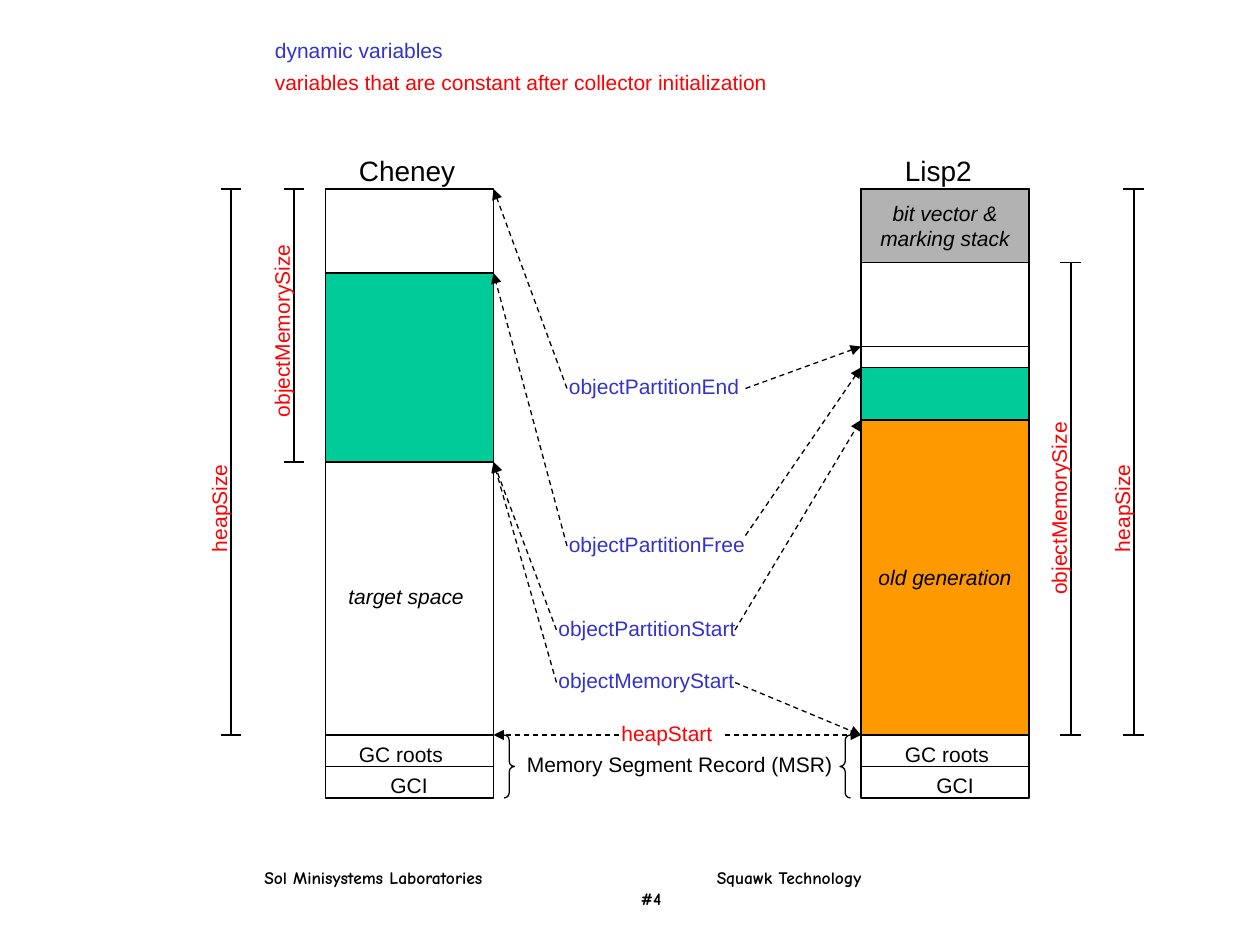
"""Build a slide comparing the heap layouts of two garbage collectors."""
from pptx import Presentation
from pptx import util as u
from pptx.dml.color import RGBColor
from pptx.enum import dml, shapes, text
from pptx.oxml import ns, xmlchemy as xml

BLACK = RGBColor(0, 0, 0)
BLUE = RGBColor(0x33, 0x33, 0xCC)
RED = RGBColor(0xFF, 0, 0)
GREEN = RGBColor(0, 0xCC, 0x99)
ORANGE = RGBColor(0xFF, 0x99, 0)
GRAY = RGBColor(0xB2, 0xB2, 0xB2)

PLAIN = {"name": "Arial", "size": u.Pt(12)}
LARGE = {**PLAIN, "size": u.Pt(16)}
SLANT = {**PLAIN, "italic": True}
FOOT = {"name": "Comic Neue", "size": u.Pt(10), "bold": True}

LEFT, RIGHT, WIDE = 186, 492, 96
TOP, BASE, ROOTS, END = 108, 420, 438, 456
SPLIT = 264

COLUMNS = [
    (LEFT, [SPLIT, BASE, ROOTS], [(156, SPLIT, GREEN, "")], "Cheney", 198, 70),
    (RIGHT, [150, 198, BASE, ROOTS],
     [(240, BASE, ORANGE, "old generation"), (210, 240, GREEN, ""),
      (TOP, 150, GRAY, "bit vector &\nmarking stack")], "Lisp2", 510, 53),
]
BRACES = [(288, shapes.MSO_SHAPE.RIGHT_BRACE), (480, shapes.MSO_SHAPE.LEFT_BRACE)]
SPANS = [
    (132, TOP, BASE, "heapSize", 125, 290, 65),
    (168, TOP, SPLIT, "objectMemorySize", 161, 188.5, 114),
    (612, 150, BASE, "objectMemorySize", 605, 290, 114),
    (648, TOP, BASE, "heapSize", 641, 290, 65),
]
LABELS = [
    ("dynamic variables", 150, 18, 111, BLUE, PLAIN),
    ("variables that are constant after collector initialization", 150, 36, 296, RED, PLAIN),
    ("objectPartitionEnd", 318, 210, 112, BLUE, PLAIN),
    ("objectPartitionFree", 318, 300, 116, BLUE, PLAIN),
    ("objectPartitionStart", 312, 348, 116, BLUE, PLAIN),
    ("objectMemoryStart", 312, 378, 116, BLUE, PLAIN),
    ("heapStart", 348, 408, 67, RED, PLAIN),
    ("Memory Segment Record (MSR)", 294, 426, 189, BLACK, PLAIN),
    ("target space", 192, 330, 81, BLACK, SLANT),
]
ARROWS = [
    (324, 222, TOP, 426, 222, 198),
    (324, 312, 156, 426, 306, 210),
    (318, 360, SPLIT, 420, 360, 240),
    (318, 390, SPLIT, 420, 390, BASE),
    (354, BASE, BASE, 414, BASE, BASE),
]
FOOTER = [("Sol Minisystems Laboratories\tSquawk Technology", 258.5), ("\t#4", 215)]


def style(para, tone, form):
    for key, value in form.items():
        setattr(para.font, key, value)
    para.font.color.rgb = tone


def ink(line):
    line.color.rgb = BLACK
    line.width = u.Pt(0.75)


def note(slide, words, x, y, wide, tone, form, high=21.6):
    box = slide.shapes.add_textbox(*map(u.Pt, (x, y, wide, high)))
    frame = box.text_frame
    frame.word_wrap = False
    frame.auto_size = text.MSO_AUTO_SIZE.SHAPE_TO_FIT_TEXT
    frame.text = words
    style(frame.paragraphs[0], tone, form)
    return box


def block(slide, kind, x, y, wide, high, fill=None, words=""):
    shape = slide.shapes.add_shape(kind, *map(u.Pt, (x, y, wide, high)))
    shape.shadow.inherit = False
    ink(shape.line)
    if fill is None:
        shape.fill.background()
    else:
        shape.fill.solid()
        shape.fill.fore_color.rgb = fill
    if words:
        frame = shape.text_frame
        frame.word_wrap = False
        frame.vertical_anchor = text.MSO_ANCHOR.MIDDLE
        frame.text = words
        for para in frame.paragraphs:
            para.alignment = text.PP_ALIGN.CENTER
            style(para, BLACK, SLANT)
    return shape


def rule(slide, x1, y1, x2, y2, arrow=False):
    line = slide.shapes.add_connector(
        shapes.MSO_CONNECTOR.STRAIGHT, *map(u.Pt, (x1, y1, x2, y2)))
    ink(line.line)
    props = line._element.spPr
    if arrow:
        line.line.dash_style = dml.MSO_LINE.DASH
        tail = xml.OxmlElement("a:tailEnd")
        tail.set("type", "triangle")
        props.find(ns.qn("a:ln")).append(tail)
    props.append(xml.OxmlElement("a:effectLst"))


def column(slide, x, cuts, parts, title, start, wide):
    rect = shapes.MSO_SHAPE.RECTANGLE
    block(slide, rect, x, TOP, WIDE, END - TOP)
    for y in cuts:
        rule(slide, x, y, x + WIDE, y)
    for top, base, fill, words in parts:
        block(slide, rect, x, top, WIDE, base - top, fill, words)
    note(slide, title, start, 84, wide, BLACK, LARGE, 26.6)
    note(slide, "GC roots", start, BASE, 63, BLACK, PLAIN)
    note(slide, "GCI", start + 18, ROOTS, 36, BLACK, PLAIN)


def span(slide, x, top, base, words, mid, level, wide):
    rule(slide, x, top, x, base)
    for y in (top, base):
        rule(slide, x - 6, y, x + 6, y)
    box = note(slide, words, mid - wide / 2, level - 10.8, wide, RED, PLAIN)
    box.rotation = 270


def footer(slide):
    box = slide.shapes.add_textbox(*map(u.Pt, (144, 492, 453, 32)))
    frame = box.text_frame
    frame.word_wrap = True
    frame.text = "\n".join(words for words, stop in FOOTER)
    for para, (words, stop) in zip(frame.paragraphs, FOOTER):
        tabs = xml.OxmlElement("a:tabLst")
        tab = xml.OxmlElement("a:tab")
        tab.set("pos", str(u.Pt(stop)))
        tab.set("algn", "l")
        tabs.append(tab)
        para._p.get_or_add_pPr().append(tabs)
        style(para, BLACK, FOOT)


def main():
    deck = Presentation()
    deck.slide_width, deck.slide_height = u.Pt(720), u.Pt(540)
    slide = deck.slides.add_slide(deck.slide_layouts[6])
    footer(slide)
    for item in COLUMNS:
        column(slide, *item)
    for x, kind in BRACES:
        brace = block(slide, kind, x, BASE, 6, END - BASE)
        brace.adjustments[0] = 0.5
    for item in SPANS:
        span(slide, *item)
    for item in LABELS:
        note(slide, *item)
    for x1, y1, end1, x2, y2, end2 in ARROWS:
        rule(slide, x1, y1, LEFT + WIDE, end1, True)
        rule(slide, x2, y2, RIGHT, end2, True)
    deck.save("out.pptx")


if __name__ == "__main__":
    main()
